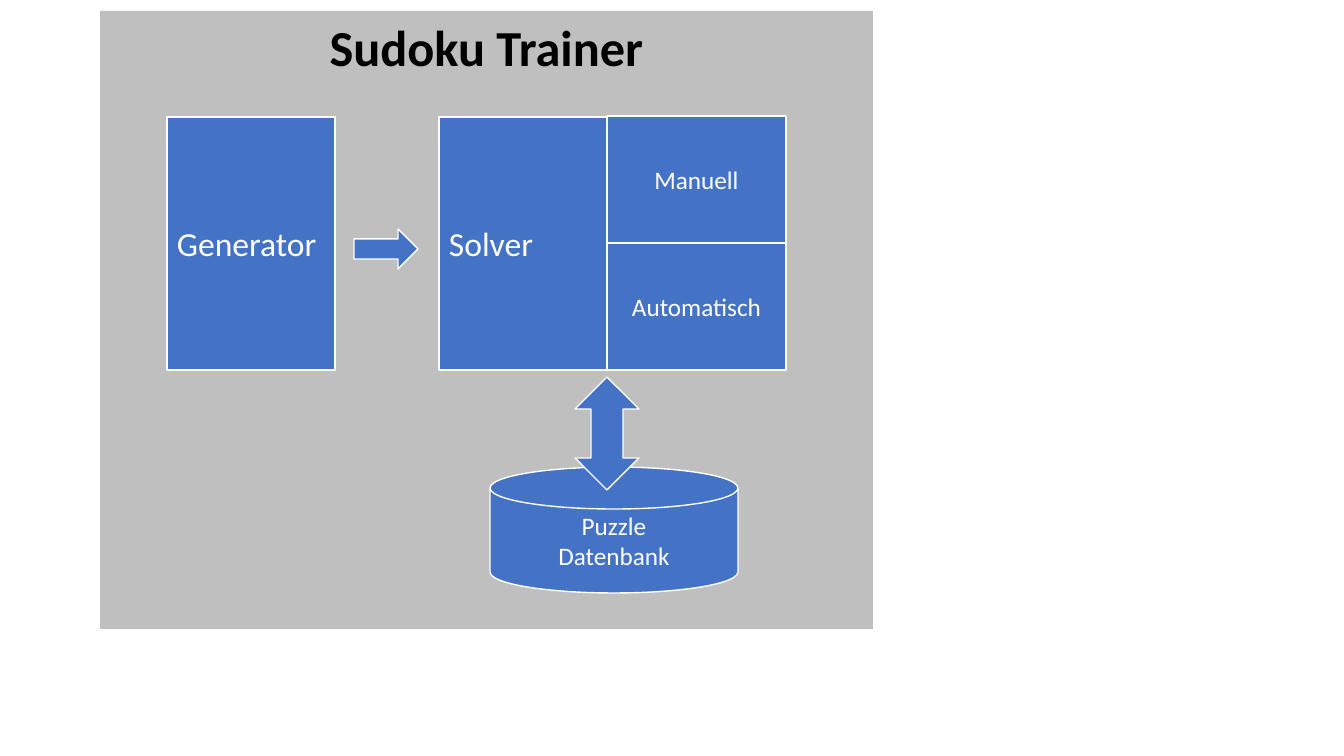
"""Build the Sudoku Trainer architecture slide."""
from pptx import Presentation
from pptx.dml.color import RGBColor
from pptx.enum.shapes import MSO_SHAPE
from pptx.enum.text import MSO_ANCHOR, MSO_AUTO_SIZE, PP_ALIGN
from pptx.util import Emu, Pt

RECTANGLE = MSO_SHAPE.RECTANGLE
DISK = MSO_SHAPE.FLOWCHART_MAGNETIC_DISK
RIGHT_ARROW = MSO_SHAPE.RIGHT_ARROW
UP_DOWN_ARROW = MSO_SHAPE.UP_DOWN_ARROW
TOP, MIDDLE = MSO_ANCHOR.TOP, MSO_ANCHOR.MIDDLE
LEFT, CENTER = PP_ALIGN.LEFT, PP_ALIGN.CENTER
NO_AUTOFIT = MSO_AUTO_SIZE.NONE

BLUE = RGBColor(0x44, 0x72, 0xC4)
GRAY = RGBColor(0xBF, 0xBF, 0xBF)
BLACK = RGBColor(0, 0, 0)
WHITE = RGBColor(0xFF, 0xFF, 0xFF)
FONT = "Calibri"
EMU_PER_PX = 914400 / 100.8
TITLE_ONLY = 5

SLIDE_SIZE = (1344, 756)
TITLE = "Sudoku Trainer"
PANEL = (100, 11, 773, 618)
DATABASE = (["Puzzle", "Datenbank"], (490, 467, 248, 126))
MODULES = [("Solver", (439, 117, 307, 253)), ("Generator", (167, 117, 168, 253))]
MODES = ["Manuell", "Automatisch"]
MODE_BOX = (607, 116, 179, 127)
ARROWS = [(RIGHT_ARROW, (354, 229, 64, 40)), (UP_DOWN_ARROW, (575, 377, 64, 113))]


def px(length):
    """Convert pixels to EMU."""
    return Emu(round(length * EMU_PER_PX))


def write(shape, lines, size=18, color=WHITE, bold=False, align=CENTER, anchor=MIDDLE):
    """Fill a shape with formatted paragraphs."""
    frame = shape.text_frame
    frame.word_wrap = True
    frame.auto_size = NO_AUTOFIT
    frame.vertical_anchor = anchor
    frame.text = "\n".join(lines)
    for para in frame.paragraphs:
        para.alignment = align
        for span in para.runs:
            span.font.name = FONT
            span.font.size = Pt(size)
            span.font.bold = bold
            span.font.color.rgb = color


def add_block(page, kind, box):
    """Add a blue shape with a white outline."""
    shape = page.shapes.add_shape(kind, *map(px, box))
    shape.shadow.inherit = False
    shape.fill.solid()
    shape.fill.fore_color.rgb = BLUE
    shape.line.color.rgb = WHITE
    shape.line.width = Pt(1)
    return shape


def main():
    """Lay out the slide and save it."""
    deck = Presentation()
    deck.slide_width, deck.slide_height = map(px, SLIDE_SIZE)
    page = deck.slides.add_slide(deck.slide_layouts[TITLE_ONLY])

    panel = page.shapes.title
    panel.left, panel.top, panel.width, panel.height = map(px, PANEL)
    panel.fill.solid()
    panel.fill.fore_color.rgb = GRAY
    write(panel, [TITLE], size=36, color=BLACK, bold=True, anchor=TOP)

    lines, box = DATABASE
    write(add_block(page, DISK, box), lines)
    for name, box in MODULES:
        write(add_block(page, RECTANGLE, box), [name], size=24, align=LEFT)
    left, top, width, height = MODE_BOX
    for row, name in enumerate(MODES):
        box = (left, top + row * height, width, height)
        write(add_block(page, RECTANGLE, box), [name])
    for kind, box in ARROWS:
        add_block(page, kind, box)

    deck.save("out.pptx")


if __name__ == "__main__":
    main()
